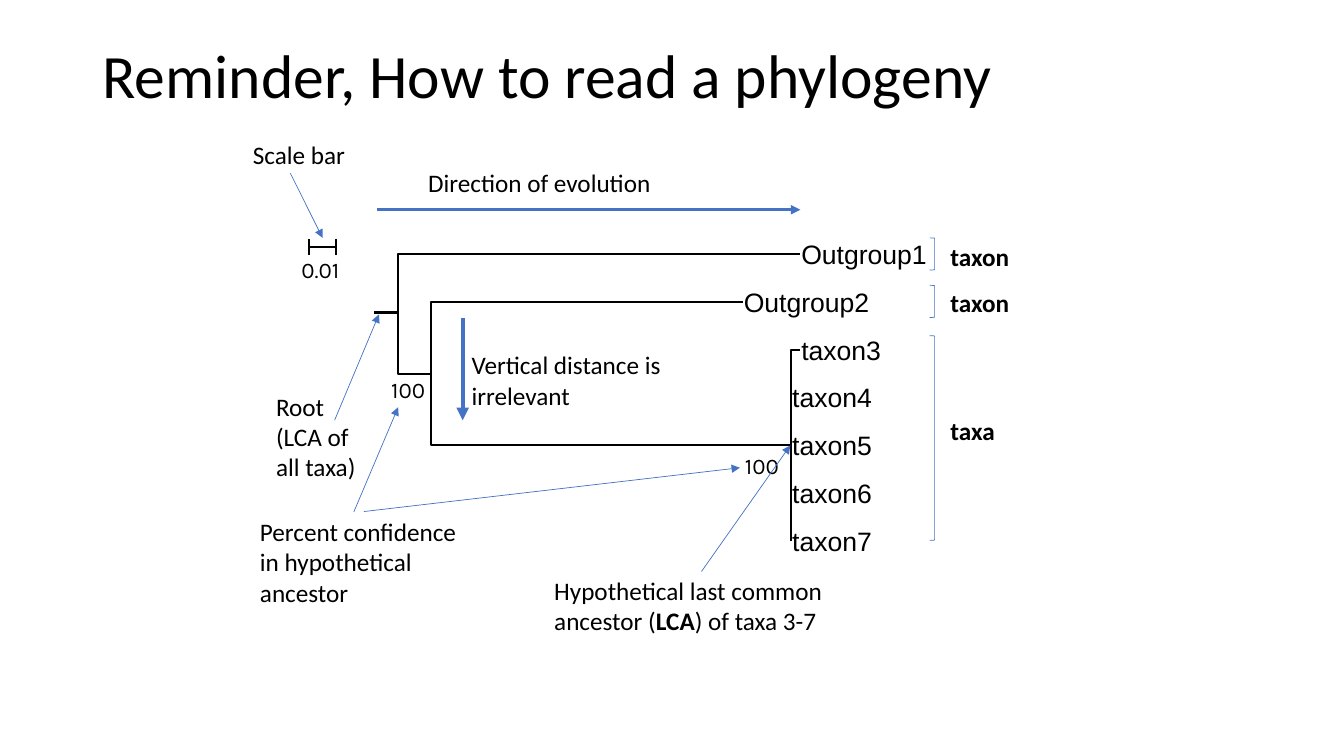
from lxml import etree
from pptx import Presentation
from pptx import util as u
from pptx.dml.color import RGBColor
from pptx.enum import shapes, text
from pptx.oxml import ns

BLACK = RGBColor(0, 0, 0)
BLUE = RGBColor(0x44, 0x72, 0xC4)


class Page:
    heading_font = "Calibri"
    note_size = 18
    tree_line = 1.38
    thin_line = 0.5

    def __init__(self, deck):
        self.slide = deck.slides.add_slide(deck.slide_layouts[5])
        self.shapes = self.slide.shapes

    def style(self, para, font, size, bold=None):
        para.alignment = text.PP_ALIGN.LEFT
        para.font.name = font
        para.font.size = u.Pt(size)
        para.font.color.rgb = BLACK
        para.font.bold = bold

    def title(self, words, left, top, width, height):
        box = self.shapes.title
        box.left, box.top = u.Pt(left), u.Pt(top)
        box.width, box.height = u.Pt(width), u.Pt(height)
        frame = box.text_frame
        frame.text = words
        frame.auto_size = text.MSO_AUTO_SIZE.NONE
        frame.vertical_anchor = text.MSO_ANCHOR.TOP
        para = frame.paragraphs[0]
        para.line_spacing = 0.9
        self.style(para, self.heading_font, 44)

    def box(self, left, top, width, height):
        box = self.shapes.add_textbox(u.Pt(left), u.Pt(top), u.Pt(width), u.Pt(height))
        box.text_frame.auto_size = text.MSO_AUTO_SIZE.SHAPE_TO_FIT_TEXT
        return box

    def label(self, words, left, top, width, height, font, size):
        frame = self.box(left, top, width, height).text_frame
        frame.word_wrap = False
        frame.margin_left = frame.margin_right = 0
        frame.margin_top = frame.margin_bottom = 0
        frame.text = words
        self.style(frame.paragraphs[0], font, size)

    def note(self, paragraphs, left, top, width, height, bold=None):
        box = self.box(left, top, width, height)
        frame = box.text_frame
        frame.word_wrap = True
        for index, spans in enumerate(paragraphs):
            para = frame.add_paragraph() if index else frame.paragraphs[0]
            self.style(para, self.heading_font, self.note_size, bold)
            for words, strong in spans:
                span = para.add_run()
                span.text = words
                if strong:
                    span.font.bold = True
        return box

    def line(self, start, end, color=BLACK, width=tree_line, arrow=False):
        line = self.shapes.add_connector(
            shapes.MSO_CONNECTOR.STRAIGHT, *(u.Pt(value) for value in (*start, *end)))
        line.line.color.rgb = color
        line.line.width = u.Pt(width)
        properties = line._element.spPr
        if arrow:
            stroke = properties.find(ns.qn("a:ln"))
            etree.SubElement(stroke, ns.qn("a:tailEnd"), type="triangle")
        etree.SubElement(properties, ns.qn("a:effectLst"))
        return line

    def arrow(self, start, end, width=thin_line):
        return self.line(start, end, BLUE, width, arrow=True)

    def branch(self, *points):
        corners = [(u.Pt(x), u.Pt(y)) for x, y in points]
        builder = self.shapes.build_freeform(*corners[0])
        builder.add_line_segments(corners[1:], close=False)
        branch = builder.convert_to_shape()
        branch.shadow.inherit = False
        branch.fill.background()
        branch.line.color.rgb = BLACK
        branch.line.width = u.Pt(self.tree_line)

    def bracket(self, left, top, width, height):
        bracket = self.shapes.add_shape(
            shapes.MSO_SHAPE.RIGHT_BRACKET,
            u.Pt(left), u.Pt(top), u.Pt(width), u.Pt(height))
        bracket.shadow.inherit = False
        bracket.fill.background()
        bracket.line.color.rgb = BLUE
        bracket.line.width = u.Pt(self.thin_line)


def draw_tree(page):
    root_x, inner_x, clade_x, tip_x = 284.4, 308.2, 565.2, 571.7
    root_y, inner_y, clade_y = 223.9, 267, 318
    first_row, row_step = 181.5, 34.1
    tips = [
        ("Outgroup1", root_x, root_y, tip_x, 90.7),
        ("Outgroup2", inner_x, inner_y, 530.6, 90.7),
        ("taxon3", clade_x, clade_y, tip_x, 57.6),
        ("taxon4", clade_x, clade_y, clade_x, 57.6),
        ("taxon5", clade_x, 334.5, clade_x, 57.6),
        ("taxon6", clade_x, 335.5, clade_x, 57.6),
        ("taxon7", clade_x, 335.5, clade_x, 57.6),
    ]
    for row, (name, node_x, node_y, end_x, width) in enumerate(tips):
        y = first_row + row * row_step
        page.label(name, end_x + 0.7, y - 11.5, width, 23, "Arial", 19)
        page.branch((node_x, node_y), (node_x, y), (end_x, y))
    page.branch((inner_x, inner_y), (inner_x, clade_y), (clade_x, clade_y))
    page.branch((root_x, root_y), (root_x, inner_y), (inner_x, inner_y))
    page.line((clade_x, clade_y), (clade_x, first_row + 6 * row_step))
    page.line((267.1, 223.2), (285.1, 223.2), width=1.5)
    for left, top in ((532.1, 323.3), (279.4, 268.6)):
        page.label("100", left, top, 26.6, 19.4, "Karla", 16)


def draw_scale(page):
    left, right, middle, half = 221, 239.8, 176.4, 5.8
    page.line((left, middle), (right, middle))
    for x in (left, right):
        page.line((x, middle - half), (x, middle + half))
    page.label("0.01", 215.3, 182.9, 31.7, 19.4, "Karla", 16)


def draw_groups(page):
    groups = [
        ("taxon", 169.9, 23, 168.5),
        ("taxon", 203.8, 23, 201.6),
        ("taxa", 239.8, 146.2, 293),
    ]
    for name, top, height, label_top in groups:
        page.bracket(664, top, 3.6, height)
        page.note([[(name, False)]], 671.8, label_top, 66.2, 29.1, bold=True)


def draw_notes(page):
    page.note([[("Hypothetical last common ancestor (", False), ("LCA", True),
                (") of taxa 3-7", False)]], 388.8, 407.5, 268.6, 50.9)
    page.note([[("Direction of evolution", False)]], 298.8, 115.9, 324, 29.1)
    confidence = page.note([[("Percent confidence in hypothetical ancestor", False)]],
                           178.6, 365.4, 162.7, 72.7)
    page.note([[("Root", False)], [("(LCA of all taxa)", False)]],
              190.1, 275.8, 79.9, 72.7)
    page.note([[("Scale bar", False)]], 173.5, 95.8, 85, 29.1)
    page.note([[("Vertical distance is irrelevant", False)]], 329.8, 246.2, 192.2, 50.9)

    page.arrow((501.1, 408.2), (564.5, 318.2))
    page.arrow((252.7, 365.8), (284.4, 290.9))
    page.arrow((260, 365.4), (528.5, 334.1)).begin_connect(confidence, 0)
    page.arrow((239, 300.2), (270.7, 224.6))
    page.arrow((207.4, 123.8), (230.4, 169.9))
    page.arrow((269.3, 149.8), (571.7, 149.8), 2.25)
    page.arrow((330.5, 227.5), (330.5, 300.2), 3)


def main():
    deck = Presentation()
    deck.slide_width, deck.slide_height = u.Pt(960), u.Pt(540)
    page = Page(deck)
    page.title("Reminder, How to read a phylogeny", 66, 28.8, 828, 104.4)
    draw_tree(page)
    draw_scale(page)
    draw_groups(page)
    draw_notes(page)
    deck.save("out.pptx")


if __name__ == "__main__":
    main()
